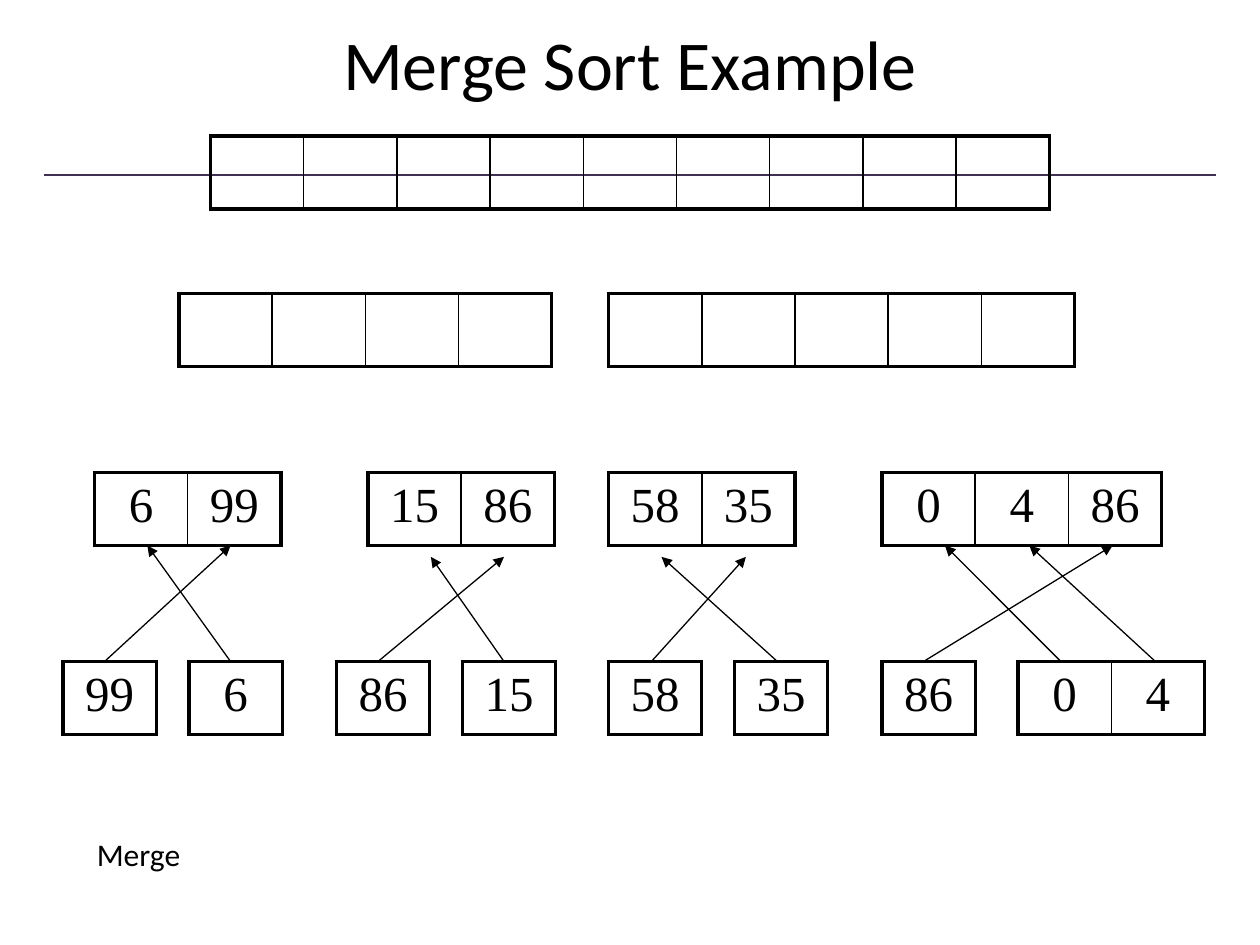
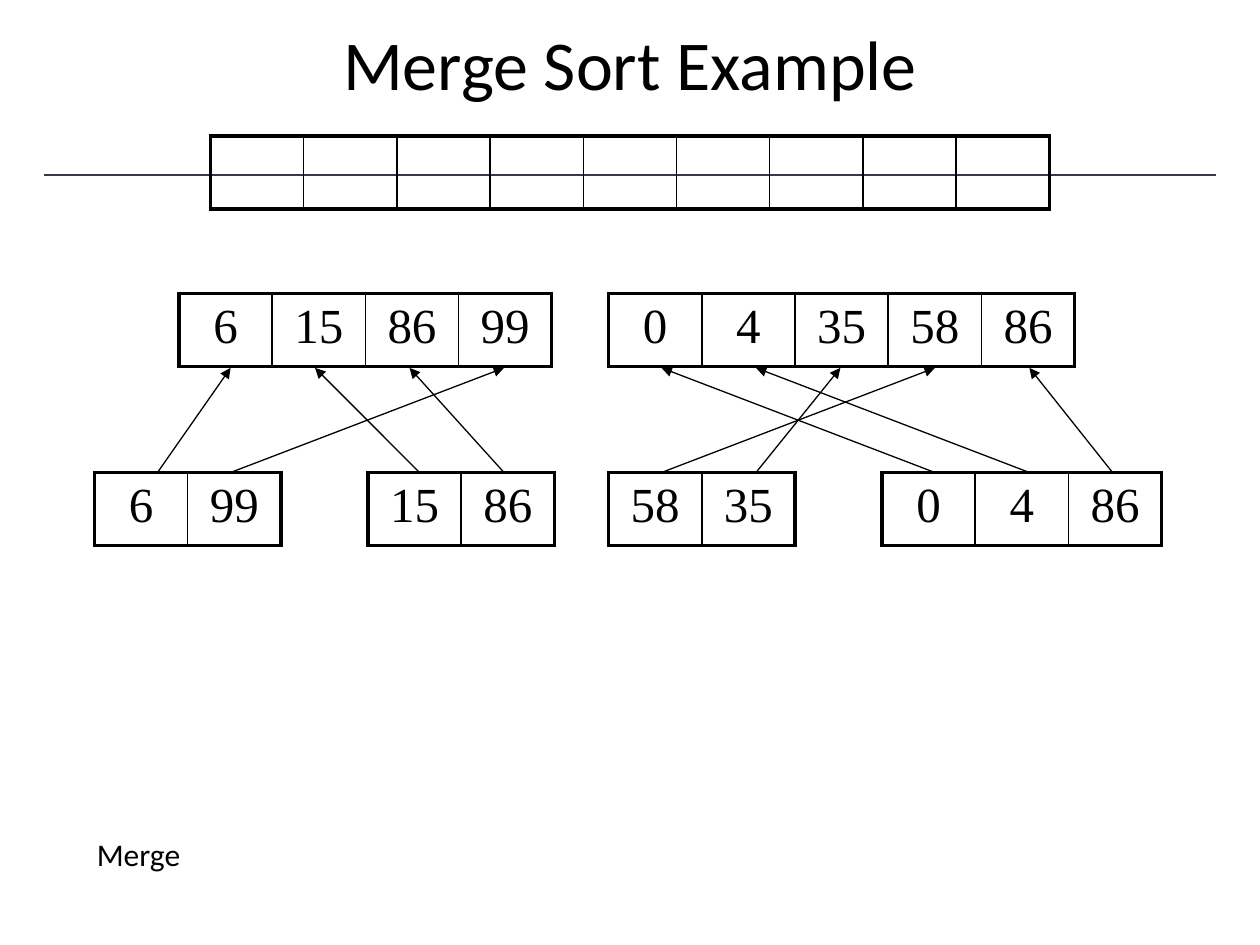
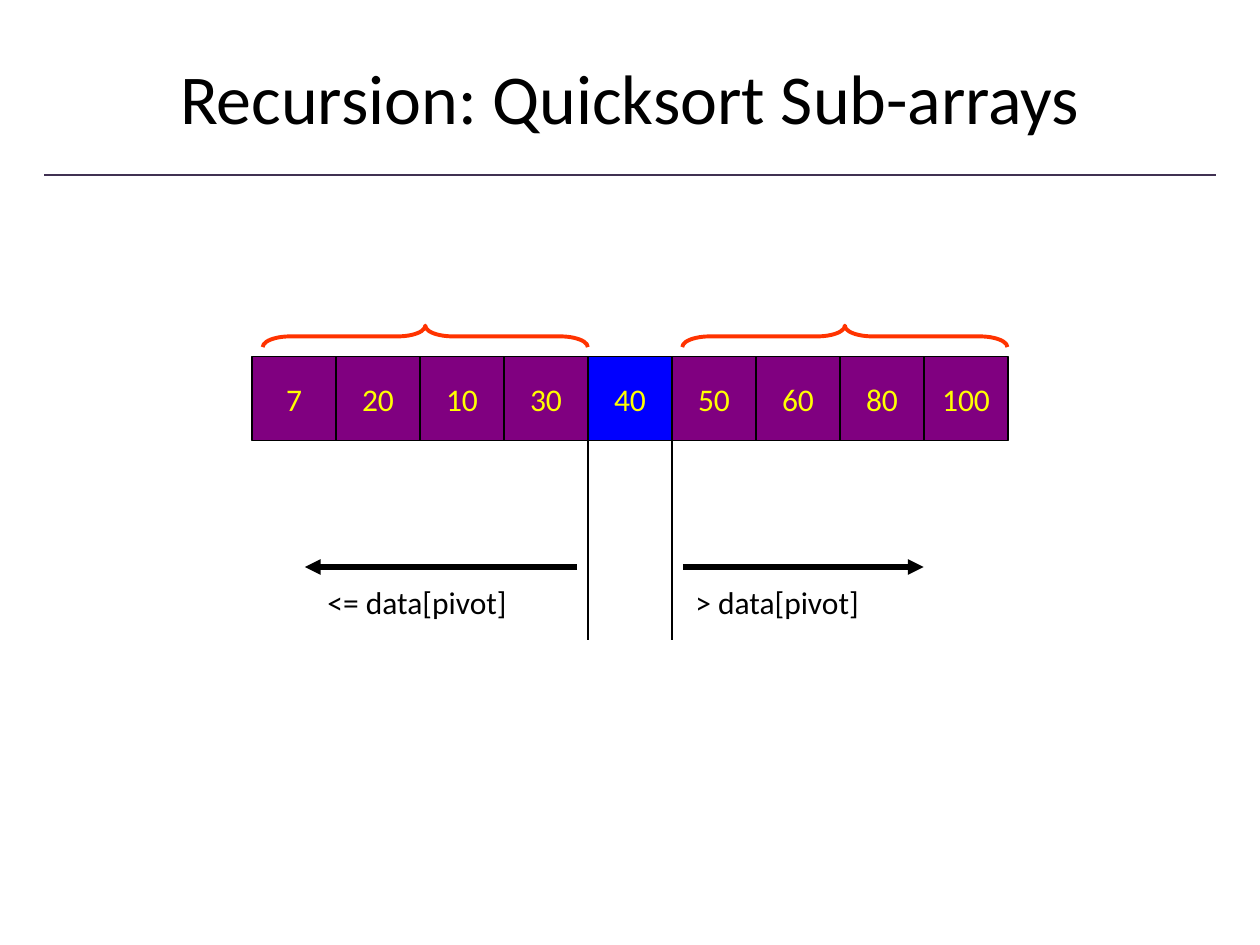
"""Build three slides on merge sort and quicksort."""
from lxml import etree
from pptx import Presentation
from pptx import util as u
from pptx.dml.color import RGBColor
from pptx.enum import shapes, text
from pptx.oxml.ns import qn

COLORS = {
    "ink": "000000",
    "rule": "403152",
    "array": "800080",
    "pivot": "0000FF",
    "value": "FFFF00",
    "brace": "FF3300",
}
BODY_FONT = "Calibri"
NUMBER_FONT = "Times New Roman"
CELL_WIDTH, CELL_HEIGHT = 0.74, 0.58
OUTER_BORDER, INNER_BORDER = 2.25, 1
WHOLE_Y, HALVES_Y, QUARTERS_Y, SINGLES_Y = 1.08, 2.33, 3.75, 5.25

QUARTERS = [
    (0.75, ["6", "99"]),
    (2.92, ["15", "86"]),
    (4.83, ["58", "35"]),
    (7, ["0", "4", "86"]),
]
SINGLES = [
    (0.5, ["99"]), (1.5, ["6"]), (2.67, ["86"]), (3.67, ["15"]),
    (4.83, ["58"]), (5.83, ["35"]), (7, ["86"]), (8.08, ["0", "4"]),
]
EMPTY_HALVES = [(1.42, [""] * 4), (4.83, [""] * 5)]
MERGED_HALVES = [
    (1.42, ["6", "15", "86", "99"]),
    (4.83, ["0", "4", "35", "58", "86"]),
]
SINGLE_MOVES = [
    (9.17, 8.17, 4.33), (7.33, 8.83, 4.33), (8.42, 7.5, 4.33),
    (6.17, 5.25, 4.42), (5.17, 5.92, 4.42), (4, 3.42, 4.42),
    (3, 4, 4.42), (1.83, 1.17, 4.33), (0.83, 1.83, 4.33),
]
QUARTER_MOVES = [
    (start, end, 2.92) for start, end in [
        (1.25, 1.83), (3.33, 2.5), (1.83, 4), (4, 3.25), (5.25, 7.42),
        (7.42, 5.25), (8.17, 6), (6, 6.67), (8.83, 8.17),
    ]
]


def rgb(name):
    """Return the named colour."""
    return RGBColor.from_string(COLORS[name])


def style_text(paragraph, size, font=BODY_FONT, color="ink", align=None):
    """Format a paragraph and its runs."""
    paragraph.alignment = align
    for run in paragraph.runs:
        run.font.size = u.Pt(size)
        run.font.name = font
        run.font.color.rgb = rgb(color)


def add_line(slide, start, end, width=0.75, color="ink", arrow=False):
    """Draw a straight line, with an arrowhead at its end if wanted."""
    points = [u.Inches(value) for value in (*start, *end)]
    line = slide.shapes.add_connector(shapes.MSO_CONNECTOR.STRAIGHT, *points)
    line.line.color.rgb = rgb(color)
    line.line.width = u.Pt(width)
    if arrow:
        etree.SubElement(line.line._get_or_add_ln(), qn("a:tailEnd"), type="triangle")
    etree.SubElement(line._element.spPr, qn("a:effectLst"))


def add_titled_slide(deck, heading, left, top, width, height):
    """Add a slide with its title and the rule below it."""
    slide = deck.slides.add_slide(deck.slide_layouts[5])
    add_line(slide, (0.35, 1.39), (9.65, 1.39), 1, "rule")
    title = slide.shapes.title
    title.left, title.top = u.Inches(left), u.Inches(top)
    title.width, title.height = u.Inches(width), u.Inches(height)
    title.text_frame.text = heading
    title.text_frame.vertical_anchor = text.MSO_ANCHOR.MIDDLE
    style_text(title.text_frame.paragraphs[0], 40, align=text.PP_ALIGN.CENTER)
    return slide


def set_borders(cell, widths):
    """Give a cell its border widths, keyed by side."""
    properties = cell._tc.get_or_add_tcPr()
    for side, width in widths.items():
        border = etree.SubElement(properties, qn(f"a:ln{side}"), w=str(u.Pt(width)))
        fill = etree.SubElement(border, qn("a:solidFill"))
        etree.SubElement(fill, qn("a:srgbClr"), val=COLORS["ink"])


def add_array(slide, left, top, values):
    """Draw an array as a one-row table."""
    count = len(values)
    table = slide.shapes.add_table(
        1, count, u.Inches(left), u.Inches(top),
        u.Inches(CELL_WIDTH * count), u.Inches(CELL_HEIGHT)).table
    table.first_row = table.horz_banding = False
    for index, value in enumerate(values):
        table.columns[index].width = u.Inches(CELL_WIDTH)
        cell = table.cell(0, index)
        cell.text_frame.text = value
        style_text(cell.text_frame.paragraphs[0], 28, NUMBER_FONT,
                   align=text.PP_ALIGN.CENTER)
        set_borders(cell, {
            "L": OUTER_BORDER if index == 0 else INNER_BORDER,
            "R": OUTER_BORDER if index == count - 1 else INNER_BORDER,
            "T": OUTER_BORDER,
            "B": OUTER_BORDER,
        })
        cell.fill.background()


def add_label(slide, left, top, width, words):
    """Add a line of body text."""
    label = slide.shapes.add_textbox(
        u.Inches(left), u.Inches(top), u.Inches(width), u.Inches(0.5))
    label.text_frame.word_wrap = True
    label.text_frame.text = words
    style_text(label.text_frame.paragraphs[0], 18)


def add_value_box(slide, left, top, size, value, color):
    """Draw one filled array element."""
    box = slide.shapes.add_shape(
        shapes.MSO_SHAPE.RECTANGLE, u.Inches(left), u.Inches(top),
        u.Inches(size), u.Inches(size))
    box.shadow.inherit = False
    box.fill.solid()
    box.fill.fore_color.rgb = rgb(color)
    box.line.color.rgb = rgb("ink")
    box.line.width = u.Pt(0.75)
    box.text_frame.word_wrap = False
    box.text_frame.text = value
    box.text_frame.vertical_anchor = text.MSO_ANCHOR.MIDDLE
    style_text(box.text_frame.paragraphs[0], 18, color="value",
               align=text.PP_ALIGN.CENTER)


def add_brace(slide, left):
    """Draw a brace that spans a sub-array from above."""
    brace = slide.shapes.add_shape(
        shapes.MSO_SHAPE.LEFT_BRACE, u.Inches(left), u.Inches(1.38),
        u.Inches(0.17), u.Inches(2.58))
    brace.rotation = 90
    brace.adjustments[0] = 1.29
    brace.shadow.inherit = False
    brace.fill.background()
    brace.line.color.rgb = rgb("brace")
    brace.line.width = u.Pt(2.25)


def add_merge_slide(deck, levels, moves, moves_y):
    """Show one merge step with its arrays and moves."""
    slide = add_titled_slide(deck, "Merge Sort Example", 0.75, 0, 8.5, 1)
    add_array(slide, 1.67, WHOLE_Y, [""] * 9)
    for top, arrays in levels:
        for left, values in arrays:
            add_array(slide, left, top, values)
    add_label(slide, 0.67, 6.58, 5.08, "Merge")
    for start, end, end_y in moves:
        add_line(slide, (start, moves_y), (end, end_y), arrow=True)


def add_quicksort_slide(deck):
    """Show the sub-arrays on both sides of the pivot."""
    slide = add_titled_slide(
        deck, "Recursion: Quicksort Sub-arrays", 0.5, 0.3, 9, 0.93)
    size, pivot = 2 / 3, 4
    for index, value in enumerate([7, 20, 10, 30, 40, 50, 60, 80, 100]):
        color = "pivot" if index == pivot else "array"
        add_value_box(slide, 2 + index * size, 2.83, size, str(value), color)
    for edge in (pivot, pivot + 1):
        x = 2 + edge * size
        add_line(slide, (x, 2.83), (x, 5.08))
    add_line(slide, (4.58, 4.5), (2.42, 4.5), 3, arrow=True)
    add_line(slide, (5.42, 4.5), (7.33, 4.5), 3, arrow=True)
    add_label(slide, 2.5, 4.58, 2.12, "<= data[pivot]")
    add_label(slide, 5.42, 4.58, 1.93, "> data[pivot]")
    for left in (3.29, 6.62):
        add_brace(slide, left)


def main():
    """Build and save the deck."""
    deck = Presentation()
    deck.slide_width, deck.slide_height = u.Inches(10), u.Inches(7.5)
    add_merge_slide(
        deck,
        [(HALVES_Y, EMPTY_HALVES), (QUARTERS_Y, QUARTERS), (SINGLES_Y, SINGLES)],
        SINGLE_MOVES, SINGLES_Y)
    add_merge_slide(
        deck, [(HALVES_Y, MERGED_HALVES), (QUARTERS_Y, QUARTERS)],
        QUARTER_MOVES, QUARTERS_Y)
    add_quicksort_slide(deck)
    deck.save("out.pptx")


if __name__ == "__main__":
    main()
